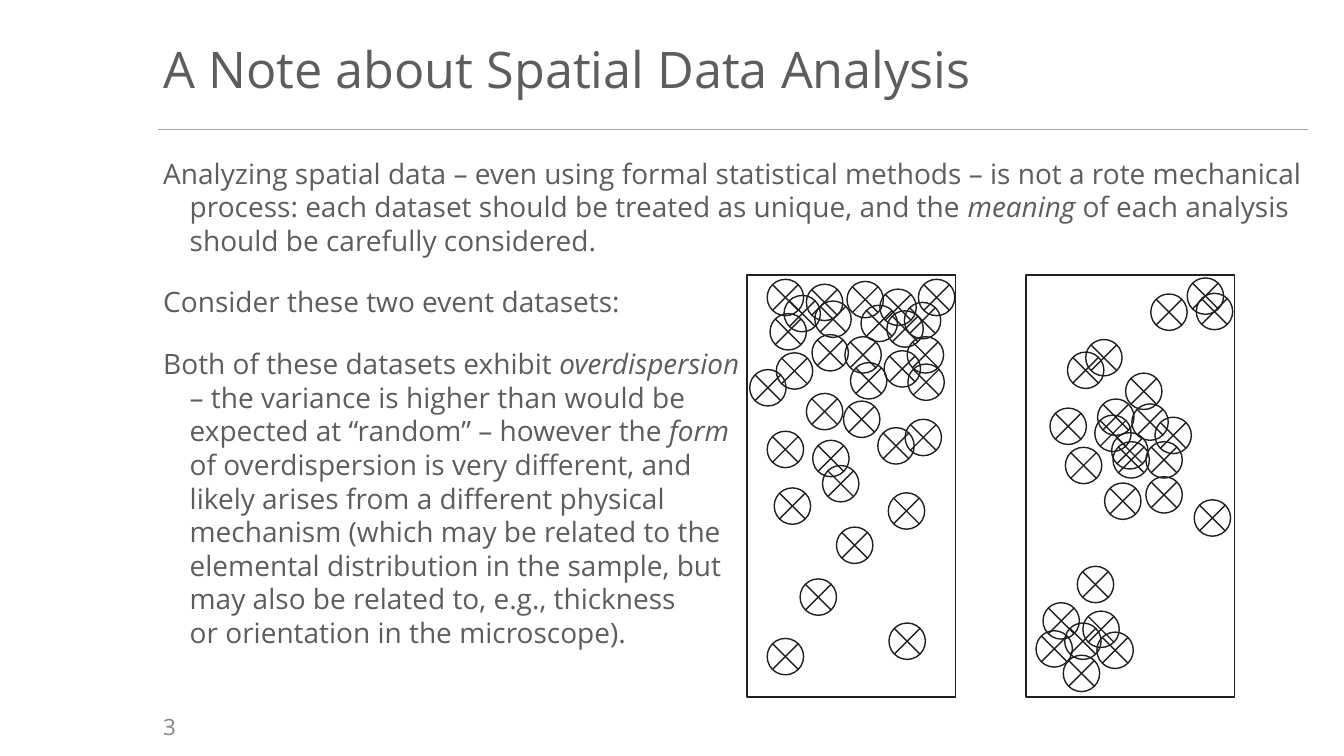
from dataclasses import dataclass

from lxml import etree
from pptx import Presentation
from pptx.dml.color import RGBColor
from pptx.enum.shapes import MSO_CONNECTOR, MSO_SHAPE
from pptx.enum.text import MSO_ANCHOR, PP_ALIGN
from pptx.oxml.ns import qn
from pptx.slide import Slide
from pptx.text.text import TextFrame, _Paragraph as Paragraph
from pptx.util import Pt

INK = RGBColor(0x20, 0x20, 0x20)
TEXT = RGBColor(0x5D, 0x5D, 0x5D)
NUMBER = RGBColor(0x83, 0x83, 0x83)
RULE = RGBColor(0xA6, 0xA6, 0xA6)
FONT = "Open Sans"

LEFT, WIDTH = 113, 821.5
INSET = 3.6
INDENT = 18.9
FRAME_TOP, FRAME_W, FRAME_H = 196.5, 149, 301.5
EVENT_SIZE = 26


@dataclass(frozen=True)
class Span:
    text: str
    italic: bool = False


@dataclass(frozen=True)
class Dataset:
    left: float
    events: list[tuple[float, float]]


BODY = [
    [
        Span("Analyzing spatial data – even using formal statistical methods – is not a rote "
             "mechanical process: each dataset should be treated as unique, and the "),
        Span("meaning", True),
        Span(" of each analysis should be carefully considered."),
    ],
    [Span("Consider these two event datasets:")],
    [
        Span("Both of these datasets exhibit "),
        Span("overdispersion\n", True),
        Span("– the variance is higher than would be\nexpected at “random” – however the "),
        Span("form\n", True),
        Span("of overdispersion is very different, and\n"
             "likely arises from a different physical\n"
             "mechanism (which may be related to the\n"
             "elemental distribution in the sample, but\n"
             "may also be related to, e.g., thickness\n"
             "or orientation in the microscope)."),
    ],
]

DATASETS = [
    Dataset(533.5, [
        (548, 199.5), (550, 224), (582, 215), (580, 239), (633.5, 222), (576, 281),
        (631.5, 250.5), (615, 218), (656, 199.5), (602.5, 286.5), (548, 456), (560, 211),
        (554.5, 252), (553, 348.5), (603.5, 240.5), (646.5, 299.5), (548, 308),
        (587.5, 332.5), (634.5, 352), (607.5, 259), (597.5, 376.5), (635, 445),
        (571.5, 413.5), (605, 201), (627, 305.5), (535.5, 264), (648, 240.5), (576, 203),
        (648.5, 260), (646, 216), (628.5, 206.5), (580.5, 314.5),
    ]),
    Dataset(733, [
        (795, 315.5), (761, 319.5), (808.5, 288.5), (794, 309), (750, 291.5), (784, 285),
        (804, 266.5), (818.5, 340.5), (789, 345), (782, 296.5), (818.5, 315.5), (825, 298),
        (853, 357), (775.5, 242.5), (762.5, 251.5), (740, 450.5), (760.5, 445),
        (745, 430.5), (773.5, 436.5), (783.5, 451.5), (769.5, 404.5), (759.5, 468),
        (848, 198.5), (854.5, 209.5), (822, 210),
    ]),
]


def add_box(s: Slide, top: float, width: float, height: float,
            anchor: MSO_ANCHOR = MSO_ANCHOR.MIDDLE) -> TextFrame:
    tf = s.shapes.add_textbox(Pt(LEFT), Pt(top), Pt(width), Pt(height)).text_frame
    tf.word_wrap = True
    tf.vertical_anchor = anchor
    tf.margin_left = tf.margin_right = tf.margin_top = tf.margin_bottom = Pt(INSET)
    return tf


def style(p: Paragraph, size: float, color: RGBColor) -> None:
    p.alignment = PP_ALIGN.LEFT
    for r in p.runs:
        r.font.name = FONT
        r.font.size = Pt(size)
        r.font.color.rgb = color


def add_label(s: Slide, text: str, top: float, width: float, height: float,
              size: float, color: RGBColor) -> Paragraph:
    tf = add_box(s, top, width, height)
    tf.text = text
    p = tf.paragraphs[0]
    style(p, size, color)
    return p


def fill_paragraph(p: Paragraph, spans: list[Span]) -> None:
    for span in spans:
        for i, line in enumerate(span.text.split("\n")):
            if i:
                p.add_line_break()
            if line:
                r = p.add_run()
                r.text = line
                r.font.italic = span.italic
    pPr = p._p.get_or_add_pPr()
    pPr.set("marL", str(Pt(INDENT)))
    pPr.set("indent", str(-Pt(INDENT)))
    p.space_after = Pt(20)
    style(p, 20, TEXT)


def add_outline(s: Slide, kind: MSO_SHAPE, left: float, top: float,
                width: float, height: float) -> None:
    sp = s.shapes.add_shape(kind, Pt(left), Pt(top), Pt(width), Pt(height))
    sp.shadow.inherit = False
    sp.fill.background()
    sp.line.color.rgb = INK
    sp.line.width = Pt(1)


def add_rule(s: Slide, top: float) -> None:
    rule = s.shapes.add_connector(MSO_CONNECTOR.STRAIGHT, Pt(LEFT), Pt(top),
                                  Pt(LEFT + WIDTH), Pt(top))
    rule.line.color.rgb = RULE
    rule.line.width = Pt(1)
    etree.SubElement(rule._element.spPr, qn("a:effectLst"))


def add_dataset(s: Slide, dataset: Dataset) -> None:
    add_outline(s, MSO_SHAPE.RECTANGLE, dataset.left, FRAME_TOP, FRAME_W, FRAME_H)
    for x, y in dataset.events:
        add_outline(s, MSO_SHAPE.FLOWCHART_SUMMING_JUNCTION, x, y, EVENT_SIZE, EVENT_SIZE)


def main() -> None:
    prs = Presentation()
    prs.slide_width, prs.slide_height = Pt(960), Pt(540)
    s = prs.slides.add_slide(prs.slide_layouts[6])

    add_rule(s, 92.5)
    title = add_label(s, "A Note about Spatial Data Analysis", 26, WIDTH, 51, 36, TEXT)
    title.line_spacing = 0.9

    tf = add_box(s, 108, WIDTH, 391, MSO_ANCHOR.TOP)
    for i, spans in enumerate(BODY):
        fill_paragraph(tf.add_paragraph() if i else tf.paragraphs[0], spans)

    add_label(s, "3", 505.5, 27.5, 26.5, 16, NUMBER)
    for dataset in DATASETS:
        add_dataset(s, dataset)

    prs.save("out.pptx")


if __name__ == "__main__":
    main()
